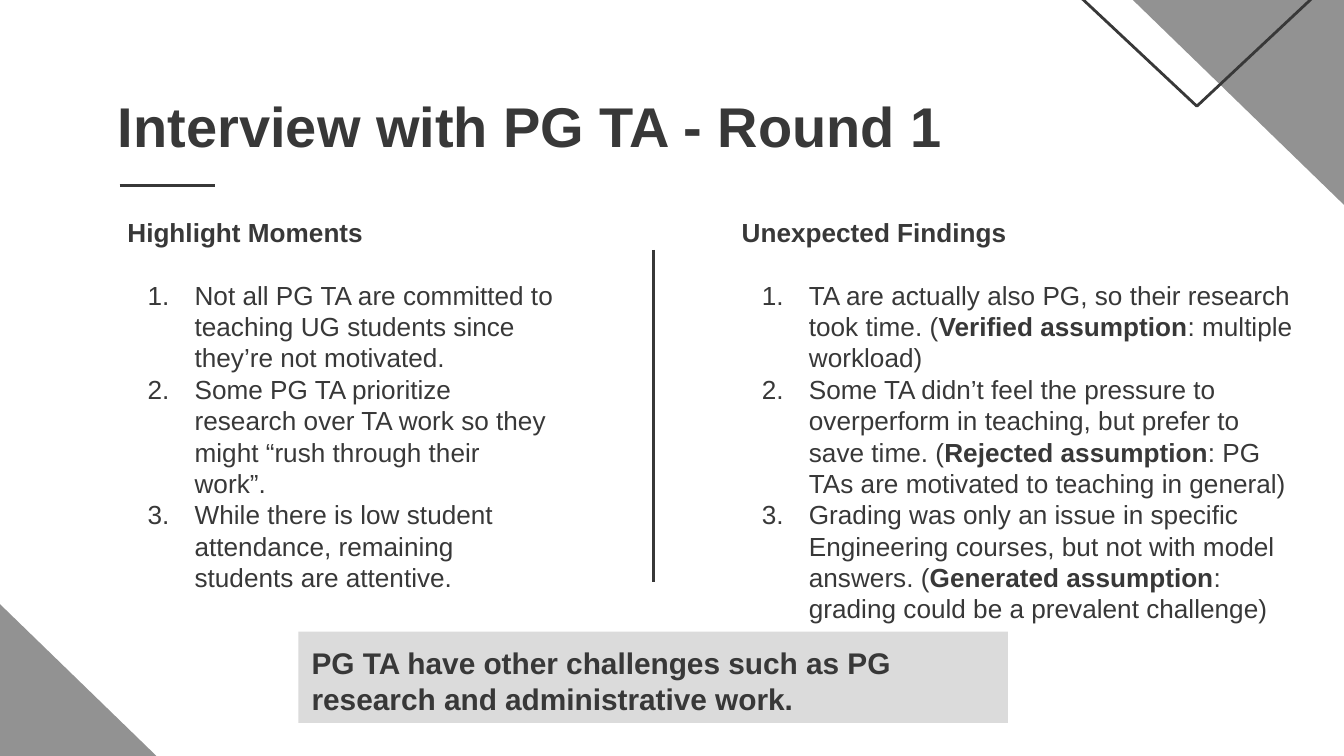
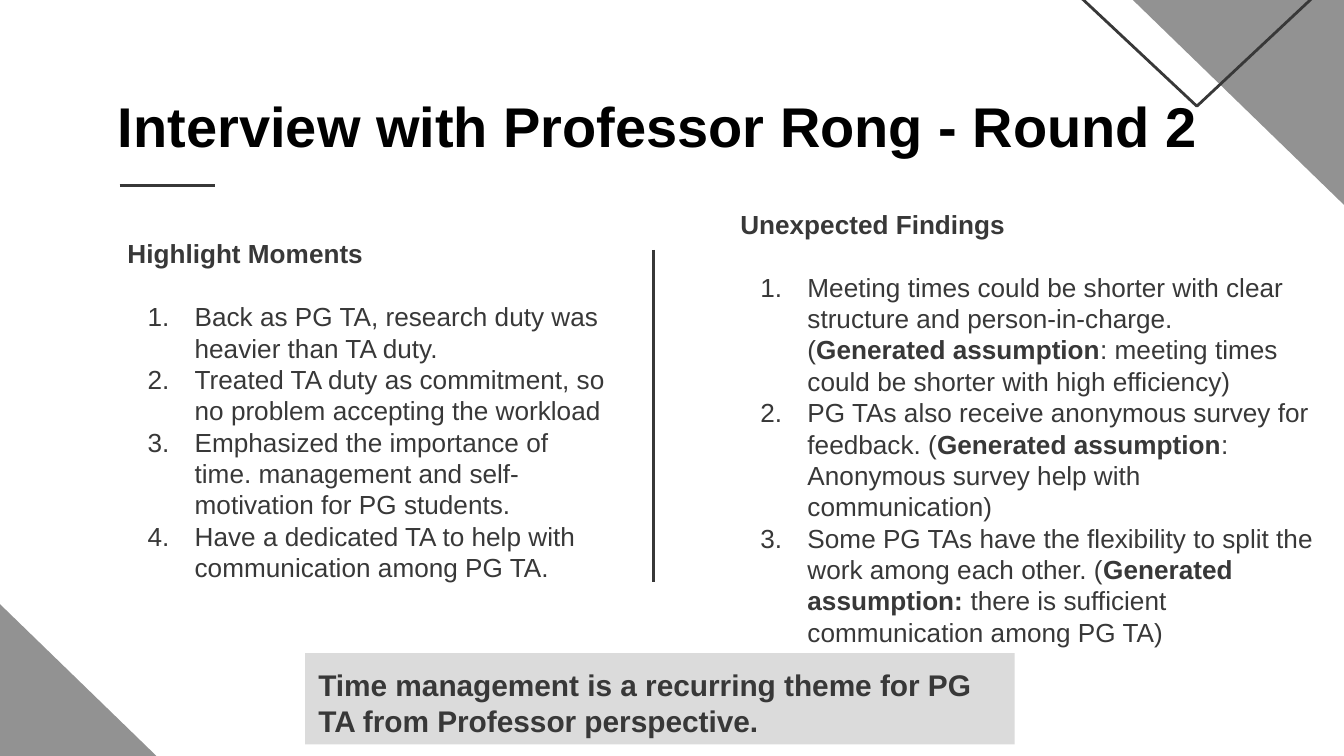
from pptx import Presentation
from pptx.dml.color import RGBColor as RGB
from pptx.enum.shapes import MSO_CONNECTOR as LINE, MSO_SHAPE as SHAPE
from pptx.enum.text import MSO_ANCHOR as ANCHOR, PP_ALIGN as ALIGN
from pptx.util import Pt
from lxml.etree import SubElement as Sub
from pptx.oxml.ns import qn

PX = 4572  # 200 px to the inch
DARK = RGB(0x38, 0x38, 0x38)
BLACK = RGB(0, 0, 0)
GREY = RGB(0x92, 0x92, 0x92)
PALE = RGB(0xDB, 0xDB, 0xDB)
FONT = "Arial"

# Each slide: title, title colour, two columns, callout.
# A column is box, heading, items; asterisks enclose bold words.
PAGES = [
    ("Interview with PG TA - Round 1", DARK, [
        ((170, 302, 680, 734), "Highlight Moments", [
            "Not all PG TA are committed to teaching UG students since they’re not motivated.",
            "Some PG TA prioritize research over TA work so they might “rush through their work”.",
            "While there is low student attendance, remaining students are attentive.",
        ]),
        ((1084, 302, 862, 734), "Unexpected Findings", [
            "TA are actually also PG, so their research took time. "
            "(*Verified assumption*: multiple workload)",
            "Some TA didn’t feel the pressure to overperform in teaching, but prefer to save time. "
            "(*Rejected assumption*: PG TAs are motivated to teaching in general)",
            "Grading was only an issue in specific Engineering courses, but not with model answers. "
            "(*Generated assumption*: grading could be a prevalent challenge)",
        ]),
    ], (444, 940, 1056, 136),
        "PG TA have other challenges such as PG research and administrative work."),
    ("Interview with Professor Rong - Round 2", BLACK, [
        ((170, 334, 758, 734), "Highlight Moments", [
            "Back as PG TA, research duty was heavier than TA duty.",
            "Treated TA duty as commitment, so no problem accepting the workload",
            "Emphasized the importance of time. management and self-motivation for PG students.",
            "Have a dedicated TA to help with communication among PG TA.",
        ]),
        ((1082, 290, 900, 734), "Unexpected Findings", [
            "Meeting times could be shorter with clear structure and person-in-charge. "
            "(*Generated assumption*: meeting times could be shorter with high efficiency)",
            "PG TAs also receive anonymous survey for feedback. "
            "(*Generated assumption*: Anonymous survey help with communication)",
            "Some PG TAs have the flexibility to split the work among each other. "
            "(*Generated assumption: *there is sufficient communication among PG TA)",
        ]),
    ], (454, 972, 1056, 136),
        "Time management is a recurring theme for PG TA from Professor perspective."),
]

# Corner shapes: preset, box, turn, fill
CORNERS = [
    (SHAPE.RIGHT_TRIANGLE, (-368, 542, 744, 722), 0, GREY),
    (SHAPE.RIGHT_TRIANGLE, (1420, -258, 744, 722), 180, GREY),
    (SHAPE.ISOSCELES_TRIANGLE, (1194, -392, 1174, 550), 180, None),
]
# Title rule and column divider
RULES = [(178, 276, 320, 276), (972, 372, 972, 866)]


def scale(box):
    return [n * PX for n in box]


def write(shape, texts, size, color=DARK):
    """Fill a shape: a bold first paragraph, then a numbered list."""
    frame = shape.text_frame
    frame.word_wrap = True
    frame.vertical_anchor = ANCHOR.TOP
    frame.margin_left = frame.margin_right = 20 * PX
    frame.margin_top = frame.margin_bottom = 20 * PX
    for i, text in enumerate(texts):
        para = frame.add_paragraph() if i else frame.paragraphs[0]
        para.alignment = ALIGN.LEFT
        if i:
            prop = para._p.get_or_add_pPr()
            prop.set("marL", str(100 * PX))
            prop.set("indent", str(-70 * PX))
            tint = Sub(Sub(prop, qn("a:buClr")), qn("a:srgbClr"))
            tint.set("val", str(color))
            Sub(prop, qn("a:buFont")).set("typeface", FONT)
            Sub(prop, qn("a:buAutoNum")).set("type", "arabicPeriod")
        elif len(texts) > 1:
            para.space_after = Pt(16.8)
        for j, part in enumerate(text.split("*")):
            run = para.add_run()
            run.text = part
            font = run.font
            font.name, font.size = FONT, Pt(size)
            font.bold = i == 0 or j % 2 == 1
            font.color.rgb = color


deck = Presentation()
deck.slide_width, deck.slide_height = scale((2000, 1125))

for title, color, cols, spot, note in PAGES:
    shapes = deck.slides.add_slide(deck.slide_layouts[6]).shapes

    # Corner triangles
    for kind, box, turn, fill in CORNERS:
        corner = shapes.add_shape(kind, *scale(box))
        corner.shadow.inherit = False
        corner.rotation = turn
        if fill:
            corner.fill.solid()
            corner.fill.fore_color.rgb = fill
            corner.line.fill.background()
        else:
            corner.fill.background()
            corner.line.color.rgb = DARK
            corner.line.width = Pt(1.5)

    # Title
    write(shapes.add_textbox(*scale((156, 116, 1686, 116))), [title], 30, color)

    # Rules
    for ends in RULES:
        rule = shapes.add_connector(LINE.STRAIGHT, *scale(ends))
        rule.line.color.rgb = DARK
        rule.line.width = Pt(1.5)
        Sub(rule._element.spPr, qn("a:effectLst"))

    # Columns
    for box, head, items in cols:
        write(shapes.add_textbox(*scale(box)), [head, *items], 14)

    # Callout
    call = shapes.add_shape(SHAPE.RECTANGLE, *scale(spot))
    call.shadow.inherit = False
    call.fill.solid()
    call.fill.fore_color.rgb = PALE
    call.line.fill.background()
    write(call, [note], 16)

deck.save("out.pptx")
